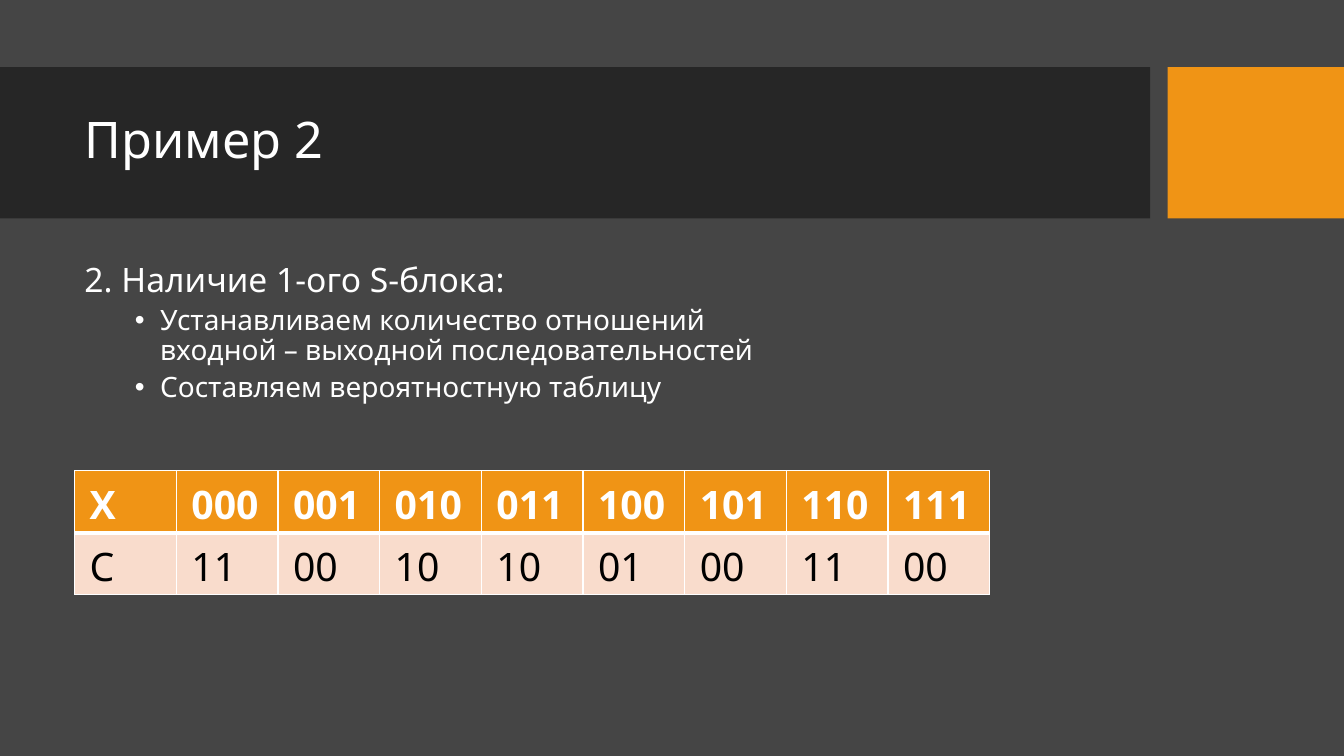
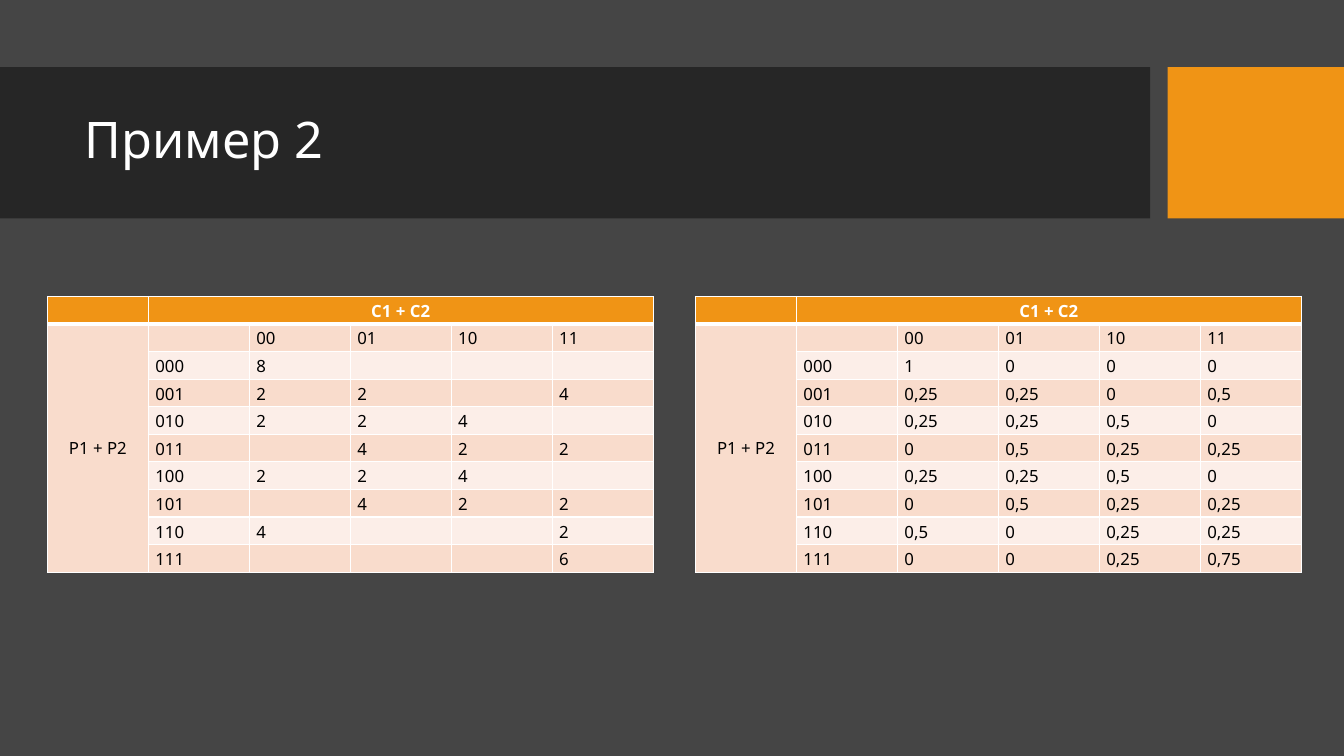
"""Builds two slides on S-block probability tables."""
import lxml.etree
import pptx
import pptx.dml.color
import pptx.enum.shapes
import pptx.enum.text
import pptx.oxml.ns
import pptx.util

RGB = pptx.dml.color.RGBColor
GREY = RGB(0x45, 0x45, 0x45)
DARK = RGB(0x26, 0x26, 0x26)
ORANGE = RGB(0xF0, 0x94, 0x15)
PEACH = RGB(0xF9, 0xDC, 0xCC)
PALE = RGB(0xFC, 0xEE, 0xE8)
WHITE = RGB(0xFF, 0xFF, 0xFF)
BLACK = RGB(0, 0, 0)
FONT = "Noto Sans"
COLS, ROWS = 160, 90
UNIT = pptx.util.Inches(1 / 12)
LEFT = 8.88
CENTER = pptx.enum.text.PP_ALIGN.CENTER
MIDDLE = pptx.enum.text.MSO_ANCHOR.MIDDLE

COUNTS = ["8|||", "2|2||4", "2|2|4|", "|4|2|2",
          "2|2|4|", "|4|2|2", "4|||2", "|||6"]
ODDS = ["1|0|0|0", "0,25|0,25|0|0,5", "0,25|0,25|0,5|0", "0|0,5|0,25|0,25",
        "0,25|0,25|0,5|0", "0|0,5|0,25|0,25", "0,5|0|0,25|0,25",
        "0|0|0,25|0,75"]


def grid(*spans):
    """Turns grid counts into lengths."""
    return [round(span * UNIT) for span in spans]


def node(parent, tag, **attrs):
    """Adds a drawing element to its parent."""
    return lxml.etree.SubElement(parent, pptx.oxml.ns.qn(tag), **attrs)


def style(para, size, color=WHITE, bold=False):
    """Formats the runs of a paragraph."""
    for run in para.runs:
        font = run.font
        font.name, font.size, font.bold = FONT, pptx.util.Pt(size), bold
        font.color.rgb = color


def add_band(slide, left, width, color):
    """Draws a block of the title strip."""
    band = slide.shapes.add_shape(pptx.enum.shapes.MSO_SHAPE.RECTANGLE,
                                  *grid(left, 8, width, 18))
    band.shadow.inherit = False
    band.fill.solid()
    band.fill.fore_color.rgb = color
    band.line.fill.background()


def add_text(slide, place, lines, size):
    """Adds a heading line with bullets below it."""
    frame = slide.shapes.add_textbox(*grid(*place)).text_frame
    frame.word_wrap = True
    frame.text = "\n".join(lines)
    for i, para in enumerate(frame.paragraphs):
        para.line_spacing = 0.9
        style(para, 20 if i else size)
        if i:
            para.level = 1
            para.space_before = pptx.util.Pt(5)
            props = para._p.get_or_add_pPr()
            props.set("marL", str(pptx.util.Inches(0.75)))
            props.set("indent", str(pptx.util.Inches(-0.25)))
            node(props, "a:buFont", typeface="Arial")
            node(props, "a:buChar", char="•")
    return frame


def add_slide(deck, title):
    """Adds a slide with its title strip."""
    slide = deck.slides.add_slide(deck.slide_layouts[6])
    add_band(slide, 0, 136.92, DARK)
    add_band(slide, 139, 21, ORANGE)
    frame = add_text(slide, (LEFT, 9.84, 126.12, 14.16), [title], 36)
    frame.vertical_anchor = MIDDLE
    return slide


def add_edges(cell, row):
    """Draws white cell borders, thick under the header."""
    props = cell._tc.get_or_add_tcPr()
    thick = {"T": row == 1, "B": row == 0}
    for side in "LRTB":
        width = pptx.util.Pt(3 if thick.get(side) else 1)
        line = node(props, "a:ln" + side, w=str(width))
        node(node(line, "a:solidFill"), "a:srgbClr", val=str(WHITE))


def fill_cell(cell, row, text, size, pads):
    """Fills and formats a table cell."""
    add_edges(cell, row)
    cell.fill.solid()
    cell.fill.fore_color.rgb = (PEACH if row % 2 else PALE) if row else ORANGE
    cell.margin_left = cell.margin_right = pptx.util.Inches(pads[0])
    cell.margin_top = cell.margin_bottom = pptx.util.Inches(pads[1])
    para = cell.text_frame.paragraphs[0]
    if text:
        para.text = text
        style(para, size, BLACK if row else WHITE, row == 0)
    node(para._p, "a:endParaRPr", sz=str(size * 100))


def add_table(slide, place, data, size, pads):
    """Adds a striped table with an orange header."""
    table = slide.shapes.add_table(len(data), len(data[0]),
                                   *grid(*place)).table
    table.horz_banding = False
    for r, texts in enumerate(data):
        for c, text in enumerate(texts):
            fill_cell(table.cell(r, c), r, text, size, pads)
    return table


def add_matrix(slide, left, values):
    """Adds a table of outputs against inputs."""
    data = [["", "C1 + C2", "", "", "", ""],
            ["P1 + P2", "", "00", "01", "10", "11"]]
    data += [["", f"{i:03b}"] + line.split("|")
             for i, line in enumerate(values)]
    table = add_table(slide, (left, 35.28, 72.12, 32.88), data, 12,
                      (0.07, 0.03))
    for start, end in [((0, 1), (0, 5)), ((1, 0), (9, 0))]:
        head = table.cell(*start)
        head.merge(table.cell(*end))
        head.text_frame.paragraphs[0].alignment = CENTER
    table.cell(1, 0).vertical_anchor = MIDDLE


def main():
    """Builds and saves the deck."""
    deck = pptx.Presentation()
    deck.slide_width, deck.slide_height = grid(COLS, ROWS)
    back = deck.slide_master.background.fill
    back.solid()
    back.fore_color.rgb = GREY

    slide = add_slide(deck, "Пример 2")
    frame = add_text(slide, (LEFT, 30.72, 86.4, 18.84), [
        "2. Наличие 1-ого S-блока:",
        "Устанавливаем количество отношений входной – выходной "
        "последовательностей",
        "Составляем вероятностную таблицу"], 24)
    frame.paragraphs[0].space_before = pptx.util.Pt(10)
    data = [["X"] + [f"{i:03b}" for i in range(8)],
            "C 11 00 10 10 01 00 11 00".split()]
    add_table(slide, (LEFT, 56.04, 108.96, 14.76), data, 28, (0.15, 0.07))

    slide = add_slide(deck, "Пример 2")
    add_matrix(slide, 5.64, COUNTS)
    add_matrix(slide, 82.8, ODDS)
    deck.save("out.pptx")


main()
